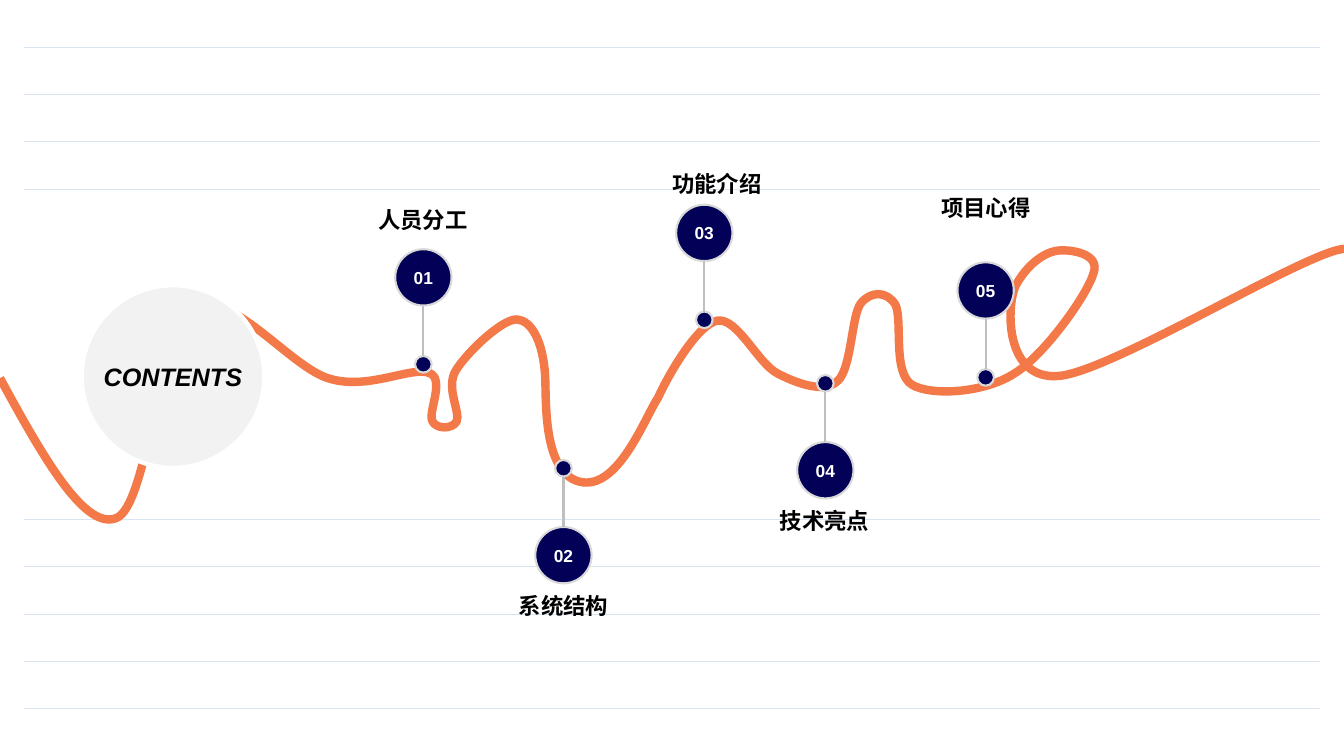
from dataclasses import dataclass
from itertools import chain
from typing import NamedTuple

from lxml.etree import SubElement
from pptx import Presentation
from pptx.dml.color import RGBColor
from pptx.enum.shapes import MSO_CONNECTOR, MSO_SHAPE
from pptx.enum.text import MSO_ANCHOR, PP_ALIGN
from pptx.oxml.ns import qn
from pptx.shapes.autoshape import Shape
from pptx.shapes.shapetree import SlideShapes
from pptx.util import Cm, Pt


@dataclass(frozen=True)
class Theme:
    font: str = "Arial"
    navy: str = "030157"
    orange: str = "F47949"
    black: str = "000000"
    white: str = "FFFFFF"
    disc: str = "F2F2F2"
    ring: str = "D9D9D9"
    stem: str = "BFBFBF"
    rule: str = "D8E4F0"
    title_size: float = 18
    label_size: float = 16
    number_size: float = 12.4


class Point(NamedTuple):
    x: float
    y: float


class Curve(NamedTuple):
    """A cubic segment: two control points and its end."""
    leave: Point
    arrive: Point
    end: Point


@dataclass(frozen=True)
class Stop:
    """A chapter on the road; direction is -1 for a badge above it, 1 for below."""
    number: str
    label: str
    dot: Point
    direction: int
    label_centre: Point
    label_size: Point
    line_spacing: float = 1.0


THEME = Theme()
DOT, BADGE, STEM = 0.42, 1.42, 1.27
RULE_PITCH, RULE_LEFT, RULE_RIGHT = 1.19, 0.61, 33.27
RULE_ROWS = chain(range(1, 5), range(11, 16))

TALL, FLAT = Point(5.61, 2.69), Point(3.1, 1.09)
STOPS = [
    Stop("01", "人员分工", Point(10.67, 9.18), -1, Point(10.66, 5.5), Point(5.11, 2.11), 1.1),
    Stop("02", "系统结构", Point(14.2, 11.8), 1, Point(14.2, 15.25), FLAT),
    Stop("03", "功能介绍", Point(17.75, 8.06), -1, Point(18.07, 4.62), TALL),
    Stop("04", "技术亮点", Point(20.8, 9.66), 1, Point(20.78, 13.12), FLAT),
    Stop("05", "项目心得", Point(24.84, 9.51), -1, Point(24.85, 5.23), TALL),
]

ROAD_START = Point(0, 9.53)
ROAD = [Curve(Point(a, b), Point(c, d), Point(e, f)) for a, b, c, d, e, f in (
    (1.04, 11.43, 2.11, 13.36, 2.92, 13.06),
    (3.73, 12.78, 3.99, 8.38, 4.9, 7.8),
    (5.79, 7.21, 7.34, 9.3, 8.33, 9.55),
    (9.3, 9.83, 10.39, 9.22, 10.82, 9.4),
    (11.23, 9.55, 10.77, 10.41, 10.9, 10.62),
    (11, 10.82, 11.4, 10.82, 11.51, 10.62),
    (11.61, 10.39, 11.23, 9.78, 11.48, 9.35),
    (11.73, 8.92, 12.65, 8.03, 13.03, 8.05),
    (13.39, 8.08, 13.69, 8.59, 13.74, 9.5),
    (13.77, 10.06, 13.67, 11.91, 14.61, 12.14),
    (15.57, 12.37, 16.23, 10.57, 16.59, 10.01),
    (16.87, 9.4, 17.58, 8.18, 18.08, 8.08),
    (18.59, 8, 19.1, 9.17, 19.61, 9.42),
    (20.12, 9.68, 20.78, 9.91, 21.11, 9.6),
    (21.46, 9.3, 21.46, 7.95, 21.69, 7.65),
    (21.95, 7.32, 22.35, 7.34, 22.56, 7.67),
    (22.76, 8.03, 22.48, 9.4, 22.99, 9.7),
    (23.47, 9.98, 24.79, 9.91, 25.55, 9.42),
    (26.31, 8.97, 27.41, 7.42, 27.56, 6.88),
    (27.74, 6.38, 26.95, 6.27, 26.62, 6.32),
    (26.29, 6.38, 25.88, 6.68, 25.6, 7.19),
    (25.35, 7.72, 25.32, 9.63, 26.72, 9.47),
    (28.09, 9.32, 33.07, 6.25, 33.91, 6.27),
)]


def write_text(shape: Shape, text: str, *, size: float, color: str,
               italic: bool = False, wrap: bool = True, spacing: float = 1.0) -> None:
    frame = shape.text_frame
    frame.word_wrap = wrap
    frame.vertical_anchor = MSO_ANCHOR.MIDDLE
    paragraph = frame.paragraphs[0]
    paragraph.alignment = PP_ALIGN.CENTER
    paragraph.line_spacing = spacing
    run = paragraph.add_run()
    run.text = text
    run.font.name, run.font.size = THEME.font, Pt(size)
    run.font.bold, run.font.italic = True, italic
    run.font.color.rgb = RGBColor.from_string(color)


def draw_line(shapes: SlideShapes, start: Point, end: Point, color: str, width: float) -> None:
    line = shapes.add_connector(MSO_CONNECTOR.STRAIGHT, Cm(start.x), Cm(start.y),
                                Cm(end.x), Cm(end.y))
    line.line.color.rgb = RGBColor.from_string(color)
    line.line.width = Pt(width)
    SubElement(line._element.spPr, qn("a:effectLst"))


def draw_circle(shapes: SlideShapes, centre: Point, diameter: float, *,
                fill: str, outline: str, width: float) -> Shape:
    circle = shapes.add_shape(MSO_SHAPE.OVAL, Cm(centre.x - diameter / 2),
                              Cm(centre.y - diameter / 2), Cm(diameter), Cm(diameter))
    circle.shadow.inherit = False
    circle.fill.solid()
    circle.fill.fore_color.rgb = RGBColor.from_string(fill)
    circle.line.color.rgb = RGBColor.from_string(outline)
    circle.line.width = Pt(width)
    return circle


def draw_road(shapes: SlideShapes) -> None:
    """Lay the road through its curve ends, then bend each stretch to a cubic curve."""
    builder = shapes.build_freeform(Cm(ROAD_START.x), Cm(ROAD_START.y))
    builder.add_line_segments([(Cm(c.end.x), Cm(c.end.y)) for c in ROAD], close=False)
    road = builder.convert_to_shape()
    road.shadow.inherit = False
    road.fill.background()
    road.line.color.rgb = RGBColor.from_string(THEME.orange)
    road.line.width = Pt(6)
    for stretch, curve in zip(road._element.findall(".//" + qn("a:lnTo")), ROAD):
        stretch.tag = qn("a:cubicBezTo")
        for child in list(stretch):
            stretch.remove(child)
        for point in curve:
            SubElement(stretch, qn("a:pt"), x=str(Cm(point.x) - road.left),
                       y=str(Cm(point.y) - road.top))


def draw_stop(shapes: SlideShapes, stop: Stop) -> None:
    x, y = stop.dot
    stem_start = y + stop.direction * DOT / 2
    stem_end = stem_start + stop.direction * STEM
    badge_centre = Point(x, stem_end + stop.direction * BADGE / 2)
    look = {"fill": THEME.navy, "outline": THEME.ring, "width": 1.5}
    draw_circle(shapes, stop.dot, DOT, **look)
    badge = draw_circle(shapes, badge_centre, BADGE, **look)
    write_text(badge, stop.number, size=THEME.number_size, color=THEME.white)
    width, height = stop.label_size
    label = shapes.add_textbox(Cm(stop.label_centre.x - width / 2),
                               Cm(stop.label_centre.y - height / 2), Cm(width), Cm(height))
    write_text(label, stop.label, size=THEME.label_size, color=THEME.black,
               spacing=stop.line_spacing)
    draw_line(shapes, Point(x, stem_start), Point(x, stem_end), THEME.stem, 1.5)


def main() -> None:
    presentation = Presentation()
    presentation.slide_width, presentation.slide_height = Cm(33.87), Cm(19.05)
    shapes = presentation.slides.add_slide(presentation.slide_layouts[6]).shapes
    for row in RULE_ROWS:
        y = row * RULE_PITCH
        draw_line(shapes, Point(RULE_LEFT, y), Point(RULE_RIGHT, y), THEME.rule, 0.38)
    draw_road(shapes)
    contents = draw_circle(shapes, Point(4.36, 9.49), 4.6,
                           fill=THEME.disc, outline=THEME.white, width=3)
    write_text(contents, "CONTENTS", size=THEME.title_size, color=THEME.black,
               italic=True, wrap=False)
    for stop in STOPS:
        draw_stop(shapes, stop)
    presentation.save("out.pptx")


if __name__ == "__main__":
    main()
